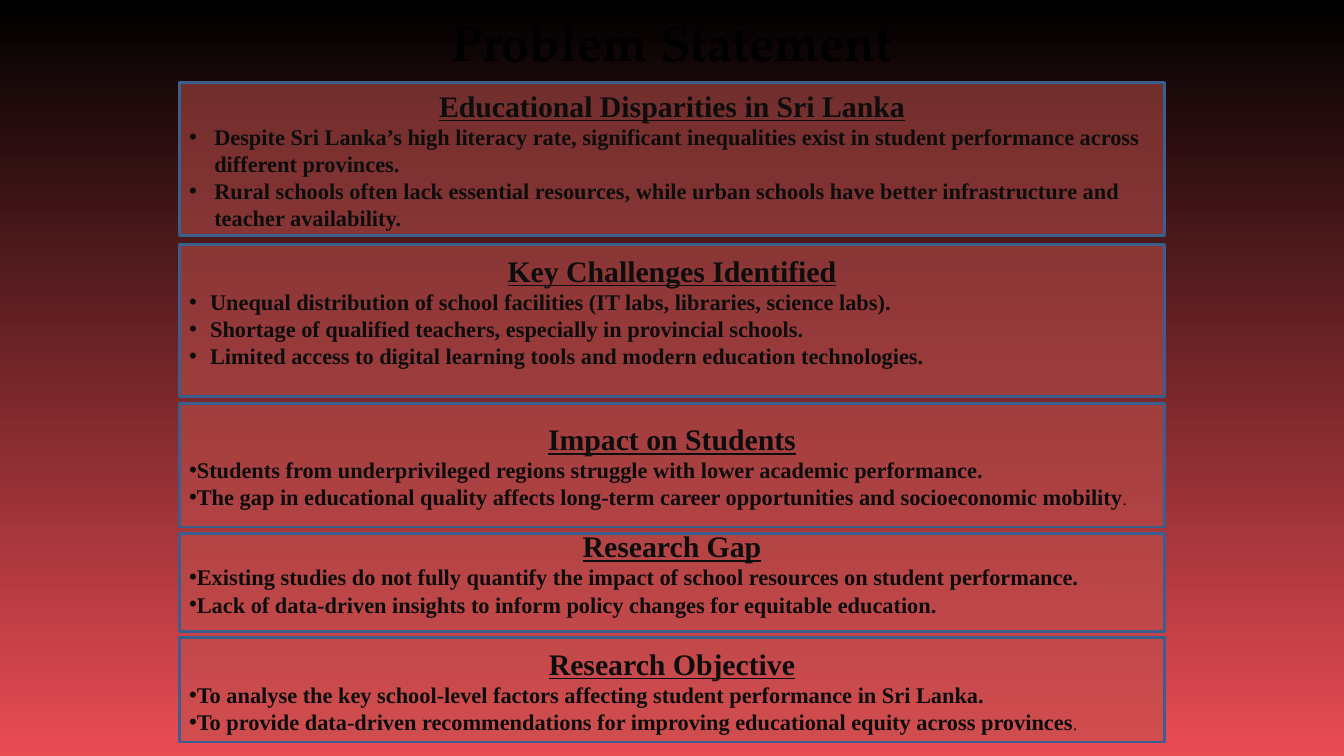
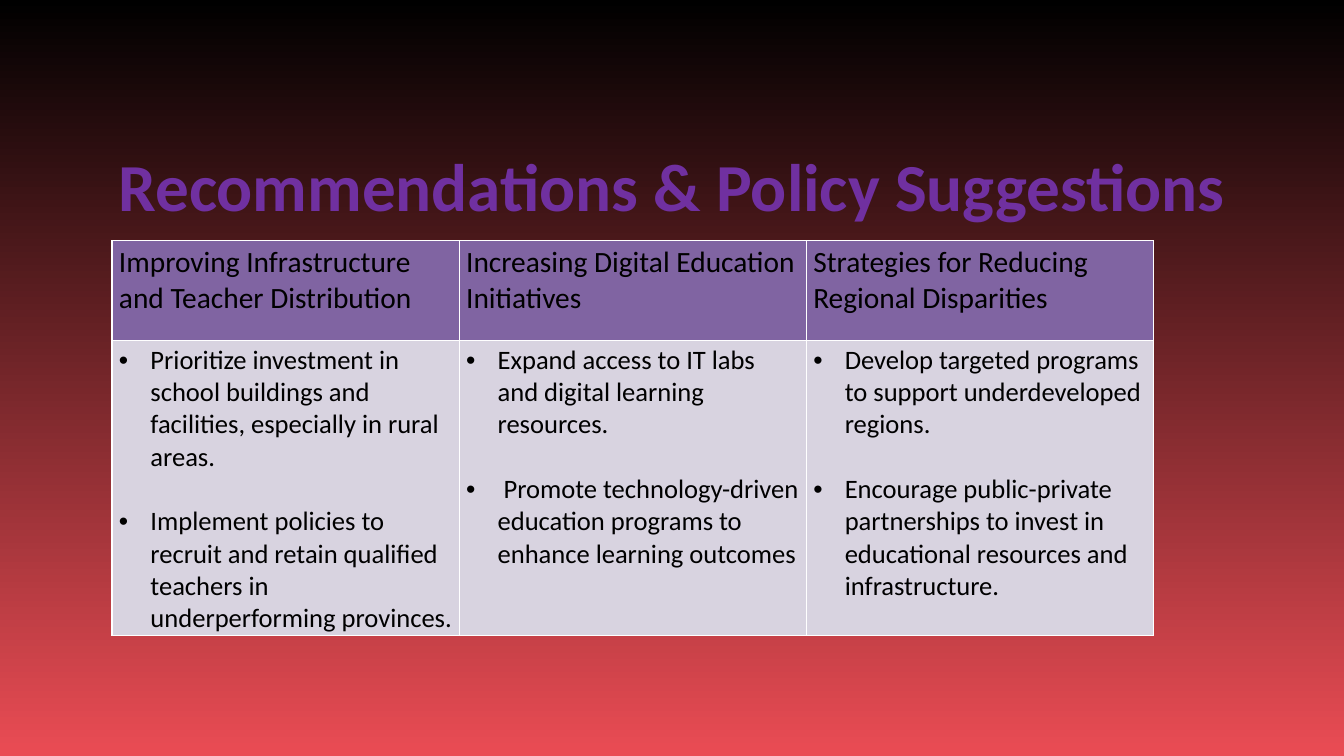
from lxml import etree
from pptx import Presentation
from pptx import util as u
from pptx.dml.color import RGBColor
from pptx.enum import shapes, text
from pptx.oxml import ns

Pt = u.Pt


def rgb(value):
    return RGBColor.from_string(value)


def add_xml(parent, tag, **attributes):
    return etree.SubElement(parent, ns.qn(tag), attributes)


class Deck:
    """Holds the shared style and the current slide."""
    BLACK, RED = "000000", "EA4C54"
    CARD, CARD_LINE, CARD_TEXT = "C0504D", "3A5F8C", "0D0D0D"
    CARD_ALPHA = "53000"
    HEADER, BODY, WHITE = "8064A2", "D8D3E0", "FFFFFF"
    SERIF, SANS = "Times New Roman", "Calibri"

    def __init__(self):
        self.deck = Presentation()
        self.deck.slide_width, self.deck.slide_height = Pt(960), Pt(540)
        self.page = None

    def add_page(self):
        self.page = self.deck.slides.add_slide(self.deck.slide_layouts[6])
        fill = self.page.background.fill
        fill.gradient()
        fill.gradient_angle = 270
        for stop, color in zip(fill.gradient_stops, (self.BLACK, self.RED)):
            stop.color.rgb = rgb(color)

    def span(self, para, words, size, font, color, bold=False, underline=False):
        span = para.add_run()
        span.text = words
        span.font.size, span.font.name = Pt(size), font
        span.font.color.rgb = rgb(color)
        span.font.bold, span.font.underline = bold, underline

    def bullet(self, para, indent):
        properties = para._p.get_or_add_pPr()
        properties.set("marL", str(Pt(indent)))
        properties.set("indent", str(-Pt(indent)))
        add_xml(properties, "a:buFont", typeface="Arial")
        add_xml(properties, "a:buChar", char="•")

    def title(self, words, left, top, width, height, size, font, color, spacing):
        box = self.page.shapes.add_textbox(Pt(left), Pt(top), Pt(width), Pt(height))
        frame = box.text_frame
        frame.word_wrap = True
        frame.auto_size = text.MSO_AUTO_SIZE.SHAPE_TO_FIT_TEXT
        frame.margin_left = frame.margin_right = 0
        frame.margin_top = frame.margin_bottom = 0
        para = frame.paragraphs[0]
        para.alignment = text.PP_ALIGN.CENTER
        para.line_spacing = Pt(spacing)
        self.span(para, words, size, font, color, bold=True)

    def card(self, top, height, heading, points, indent=0, bottom=3.6, light_stop=False):
        """Draw a translucent card; light_stop ends it with a small regular full stop."""
        box = self.page.shapes.add_shape(shapes.MSO_SHAPE.RECTANGLE,
                                         Pt(128), Pt(top), Pt(704), Pt(height))
        box.shadow.inherit = False
        box.fill.solid()
        box.fill.fore_color.rgb = rgb(self.CARD)
        fill_color = box._element.spPr.find(ns.qn("a:solidFill"))[0]
        add_xml(fill_color, "a:alpha", val=self.CARD_ALPHA)
        box.line.color.rgb = rgb(self.CARD_LINE)
        box.line.width = Pt(2)
        frame = box.text_frame
        frame.word_wrap = True
        frame.vertical_anchor = text.MSO_ANCHOR.MIDDLE
        frame.margin_bottom = Pt(bottom)
        para = frame.paragraphs[0]
        para.alignment = text.PP_ALIGN.CENTER
        para.line_spacing = Pt(26)
        self.span(para, heading, 21.3, self.SERIF, self.CARD_TEXT, True, True)
        for point in points:
            para = frame.add_paragraph()
            para.alignment = text.PP_ALIGN.LEFT
            para.line_spacing = Pt(19.3)
            self.bullet(para, indent)
            self.span(para, point, 16, self.SERIF, self.CARD_TEXT, True)
        if light_stop:
            self.span(para, ".", 12, self.SERIF, self.CARD_TEXT)

    def cell(self, cell, fill):
        """Set margins, white borders and fill of a table cell."""
        cell.margin_left = cell.margin_right = Pt(5)
        cell.margin_top = cell.margin_bottom = Pt(2.5)
        properties = cell._tc.get_or_add_tcPr()
        for side in ("a:lnL", "a:lnR", "a:lnT", "a:lnB"):
            border = add_xml(properties, side, w=str(Pt(1)))
            add_xml(add_xml(border, "a:solidFill"), "a:srgbClr", val=self.WHITE)
        cell.fill.solid()
        cell.fill.fore_color.rgb = rgb(fill)

    def table(self, left, top, column_width, row_heights, columns):
        """Draw a table from pairs of header and bullet points, one per column."""
        table = self.page.shapes.add_table(
            2, len(columns), Pt(left), Pt(top),
            Pt(column_width * len(columns)), Pt(sum(row_heights))).table
        table.first_row = table.horz_banding = False
        for row, height in zip(table.rows, row_heights):
            row.height = Pt(height)
        for index, (heading, points) in enumerate(columns):
            table.columns[index].width = Pt(column_width)
            header, body = table.cell(0, index), table.cell(1, index)
            self.cell(header, self.HEADER)
            self.cell(body, self.BODY)
            self.span(header.text_frame.paragraphs[0], heading, 21, self.SANS, self.BLACK)
            for number, point in enumerate(points):
                frame = body.text_frame
                para = frame.add_paragraph() if number else frame.paragraphs[0]
                if number:
                    para.space_before = Pt(23.2)
                self.bullet(para, 22.5)
                self.span(para, point, 19, self.SANS, self.BLACK)


def problem_statement(deck):
    deck.add_page()
    deck.title("Problem Statement", 267, -8.6, 426, 113, 36,
               "TeX Gyre Pagella", deck.BLACK, 60)
    deck.card(59, 109, "Educational Disparities in Sri Lanka", [
        "Despite Sri Lanka’s high literacy rate, significant inequalities exist in "
        "student performance across different provinces.",
        "Rural schools often lack essential resources, while urban schools have better "
        "infrastructure and teacher availability."], indent=18)
    deck.card(174.5, 109, "Key Challenges Identified", [
        "Unequal distribution of school facilities (IT labs, libraries, science labs).",
        "Shortage of qualified teachers, especially in provincial schools.",
        "Limited access to digital learning tools and modern education technologies."],
        indent=15, bottom=18)
    deck.card(288, 88.5, "Impact on Students", [
        "Students from underprivileged regions struggle with lower academic performance.",
        "The gap in educational quality affects long-term career opportunities and "
        "socioeconomic mobility"], light_stop=True)
    deck.card(381, 70, "Research Gap", [
        "Existing studies do not fully quantify the impact of school resources on "
        "student performance.",
        "Lack of data-driven insights to inform policy changes for equitable education."],
        bottom=18)
    deck.card(455.5, 74.5, "Research Objective", [
        "To analyse the key school-level factors affecting student performance in Sri Lanka.",
        "To provide data-driven recommendations for improving educational equity across "
        "provinces"], light_stop=True)


def recommendations(deck):
    deck.add_page()
    deck.title("Recommendations & Policy Suggestions", 84, 93.6, 792, 63.4, 48,
               deck.SANS, "7030A0", 67.2)
    deck.table(80, 172, 248, (71.3, 206.6), [
        ("Improving Infrastructure and Teacher Distribution", [
            "Prioritize investment in school buildings and facilities, especially in "
            "rural areas.",
            "Implement policies to recruit and retain qualified teachers in "
            "underperforming provinces."]),
        ("Increasing Digital Education Initiatives", [
            "Expand access to IT labs and digital learning resources.",
            " Promote technology-driven education programs to enhance learning outcomes"]),
        ("Strategies for Reducing Regional Disparities", [
            "Develop targeted programs to support underdeveloped regions.",
            "Encourage public-private partnerships to invest in educational resources "
            "and infrastructure."])])


def main():
    deck = Deck()
    problem_statement(deck)
    recommendations(deck)
    deck.deck.save("out.pptx")


if __name__ == "__main__":
    main()
